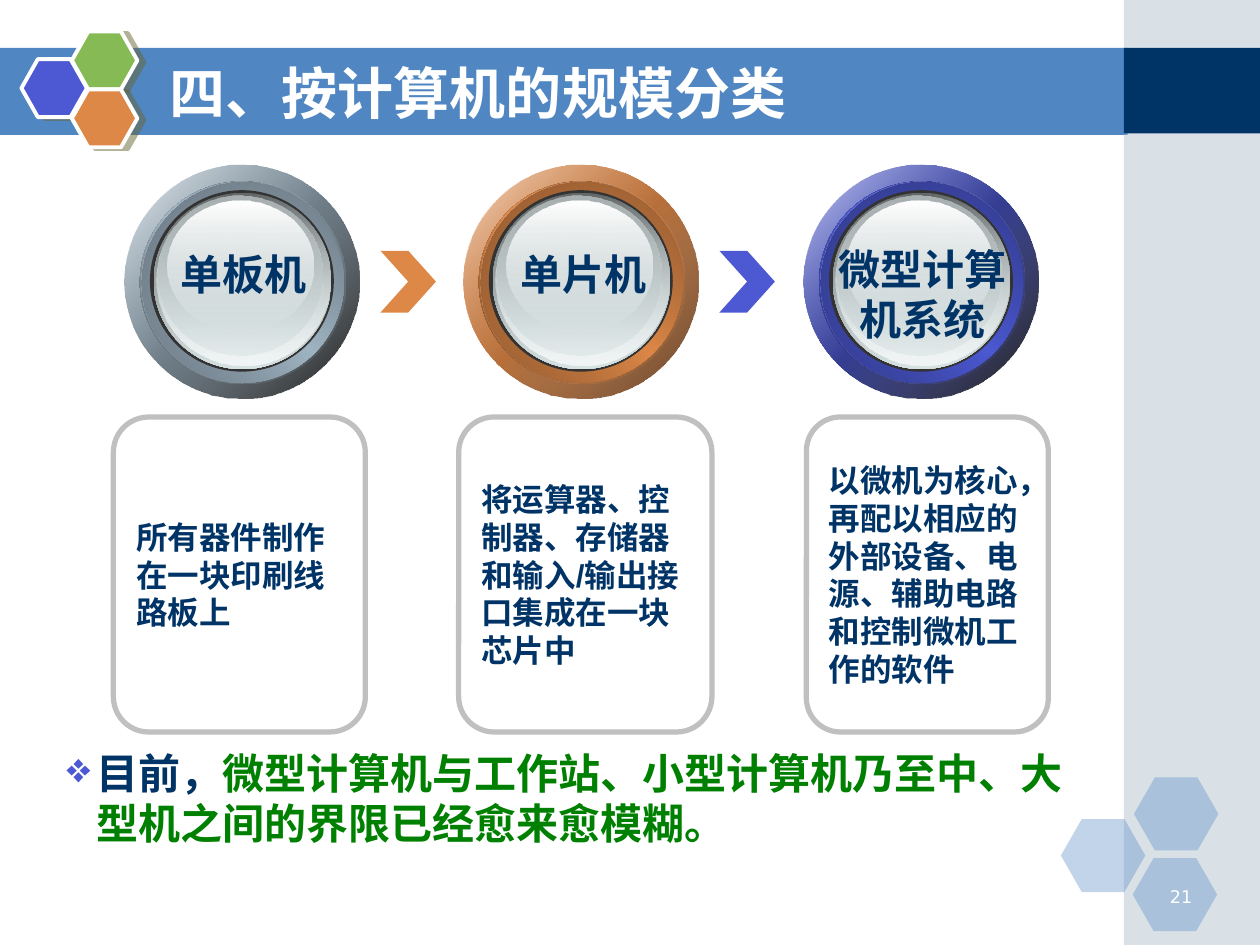
from lxml import etree
from pptx import Presentation
from pptx.dml.color import RGBColor
from pptx.enum.shapes import MSO_SHAPE
from pptx.enum.text import MSO_ANCHOR, PP_ALIGN
from pptx.oxml import parse_xml
from pptx.oxml.ns import nsdecls, qn
from pptx.util import Emu, Pt

PX = 9144  # 100 px to the inch
NAVY, WHITE, BLUE, GREEN = "003366", "FFFFFF", "5086C2", "008000"
INDIGO, ORANGE, GRAY = "4C59D2", "DE8848", "A0B5C4"
rgb = RGBColor.from_string

prs = Presentation()
prs.slide_width, prs.slide_height = Emu(1000 * PX), Emu(750 * PX)
s = prs.slides.add_slide(prs.slide_layouts[6])


def add_shape(kind, box, stops=(), angle=0, line=None, adj=None):
    """Stops are (position %, hex, alpha %); a single stop is a solid fill."""
    sp = s.shapes.add_shape(kind, *[Emu(v * PX) for v in box])
    sp.shadow.inherit = False
    if adj is not None:
        sp.adjustments[0] = adj
    if line:
        sp.line.color.rgb, sp.line.width = rgb(line[0]), Pt(line[1])
    else:
        sp.line.fill.background()
    if not stops:
        sp.fill.background()
        return sp
    colors = [f'<a:srgbClr val="{c}"><a:alpha val="{a * 1000}"/></a:srgbClr>' for _, c, a in stops]
    if len(stops) == 1:
        xml = f'<a:solidFill {nsdecls("a")}>{colors[0]}</a:solidFill>'
    else:
        gs = "".join(f'<a:gs pos="{stop[0] * 1000}">{c}</a:gs>' for stop, c in zip(stops, colors))
        xml = (f'<a:gradFill {nsdecls("a")} rotWithShape="1"><a:gsLst>{gs}</a:gsLst>'
               f'<a:lin ang="{angle * 60000}" scaled="0"/></a:gradFill>')
    sp.fill.solid()
    spPr = sp._element.spPr
    spPr.replace(spPr.find(qn("a:solidFill")), parse_xml(xml))
    return sp


def add_text(box, lines, size, align=PP_ALIGN.LEFT, anchor=MSO_ANCHOR.TOP,
             wrap=True, font="Arial", bold=True, sp=None):
    """Each line is a list of (text, hex) runs; sp is a shape to write into."""
    sp = sp or s.shapes.add_textbox(*[Emu(v * PX) for v in box])
    tf = sp.text_frame
    tf.word_wrap, tf.vertical_anchor = wrap, anchor
    for i, runs in enumerate(lines):
        p = tf.add_paragraph() if i else tf.paragraphs[0]
        p.alignment = align
        for text, color in runs:
            r = p.add_run()
            r.text = text
            for name, value in {"size": Pt(size), "bold": bold, "name": font}.items():
                setattr(r.font, name, value)
            r.font.color.rgb = rgb(color)
            ea = "Noto Sans CJK SC"
            etree.SubElement(r._r.get_or_add_rPr(), qn("a:ea"), typeface=ea)
    return tf


# Title band and side column
for box, color, alpha in [
    ((0, 38, 895, 69), BLUE, 100),
    ((892, 0, 108, 750), GRAY, 40),
    ((892, 38, 108, 68), NAVY, 100),
]:
    add_shape(MSO_SHAPE.RECTANGLE, box, [(0, color, alpha)])

# Pale hexagons, bottom right
for x, y in [(842, 650), (900, 617), (899, 681)]:
    add_shape(MSO_SHAPE.HEXAGON, (x, y, 67, 58), [(0, BLUE, 35)], adj=0.286)

# Hexagon cluster, top left
for x, y, color in [(17, 47, INDIGO), (57, 25, "85BA54"), (57, 71, ORANGE)]:
    sp = add_shape(MSO_SHAPE.HEXAGON, (x, y, 52, 46), [(0, color, 100)],
                   line=(WHITE, 2.25), adj=0.283)
    sp._element.spPr.find(qn("a:effectLst")).append(parse_xml(
        f'<a:outerShdw {nsdecls("a")} blurRad="0" dist="{Pt(4.1)}" dir="840000" algn="ctr" '
        'rotWithShape="0"><a:srgbClr val="666633"><a:alpha val="50000"/></a:srgbClr></a:outerShdw>'))

# Slide number
add_text((906, 698, 50, 25), [[("21", WHITE)]], 10, PP_ALIGN.RIGHT,
         font="DejaVu Sans", bold=False)

# Description cards
for x, w, text in [
    (90, 200, "所有器件制作在一块印刷线路板上"),
    (364, 201, "将运算器、控制器、存储器和输入/输出接口集成在一块芯片中"),
    (640, 192, "以微机为核心，再配以相应的外部设备、电源、辅助电路和控制微机工作的软件"),
]:
    sp = add_shape(MSO_SHAPE.ROUNDED_RECTANGLE, (x, 331, w, 250), line=("C0C0C0", 3), adj=0.14)
    add_text(None, [[(text, NAVY)]], 18, anchor=MSO_ANCHOR.MIDDLE, sp=sp)

# Chevrons between the rings
for x, color in [(302, ORANGE), (571, INDIGO)]:
    add_shape(MSO_SHAPE.CHEVRON, (x, 199, 44, 49), [(0, color, 100)], adj=0.5)

# Rings: coloured rim, dark gap and glass face
GLASS = "D6E1E2"
for x, color, edge, inner, (rim, rim_alpha) in [
    (99, GRAY, "57626A", "66737D", ("000000", 90)),
    (368, ORANGE, "784A27", "8D562E", ("673F21", 100)),
    (638, INDIGO, "293072", "303985", ("000000", 90)),
]:
    for dx, y, w, h, angle, stops in [
        (0, 131, 186, 185, 45, [(0, WHITE, 100), (50, color, 100), (100, WHITE, 100)]),
        (0, 131, 186, 185, 45, [(0, color, 32), (100, rim, rim_alpha)]),
        (12, 144, 162, 160, 315, [(0, edge, 100), (50, color, 100), (100, edge, 100)]),
        (13, 144, 162, 160, 45, [(0, inner, 100), (100, color, 0)]),
        (20, 151, 146, 144, 0, [(0, "333333", 100)]),
        (23, 153, 141, 140, 90, [(0, "636869", 100), (100, GLASS, 100)]),
        (25, 154, 138, 136, 90, [(0, GLASS, 0), (100, "F1F5F5", 100)]),
        (26, 155, 131, 127, 90, [(0, "AAB2B3", 100), (100, GLASS, 48)]),
        (34, 159, 116, 103, 90, [(0, WHITE, 100), (100, GLASS, 38)]),
    ]:
        add_shape(MSO_SHAPE.OVAL, (x + dx, y, w, h), stops, angle)

# Ring labels
for box, lines in [
    ((133, 192, 120, 50), ["单板机"]),
    ((403, 192, 120, 50), ["单片机"]),
    ((656, 188, 153, 90), ["微型计算", "机系统"]),
]:
    add_text(box, [[(line, NAVY)] for line in lines], 24, PP_ALIGN.CENTER, wrap=False)

# Title
add_text((125, 42, 733, 62), [[("四、按计算机的规模分类", WHITE)]], 32,
         anchor=MSO_ANCHOR.MIDDLE, font="Noto Sans CJK SC")

# Closing remark with a diamond bullet
tf = add_text((43, 588, 843, 90), [[
    ("目前，", NAVY),
    ("微型计算机与工作站、小型计算机乃至中、大型机之间的界限已经愈来愈模糊。", GREEN),
]], 24)
pPr = tf.paragraphs[0]._p.get_or_add_pPr()
pPr.set("marL", str(24 * PX))
pPr.set("indent", str(-24 * PX))
bu_clr = etree.SubElement(pPr, qn("a:buClr"))
etree.SubElement(bu_clr, qn("a:srgbClr"), val=INDIGO)
etree.SubElement(pPr, qn("a:buChar"), char="❖")

prs.save("out.pptx")
